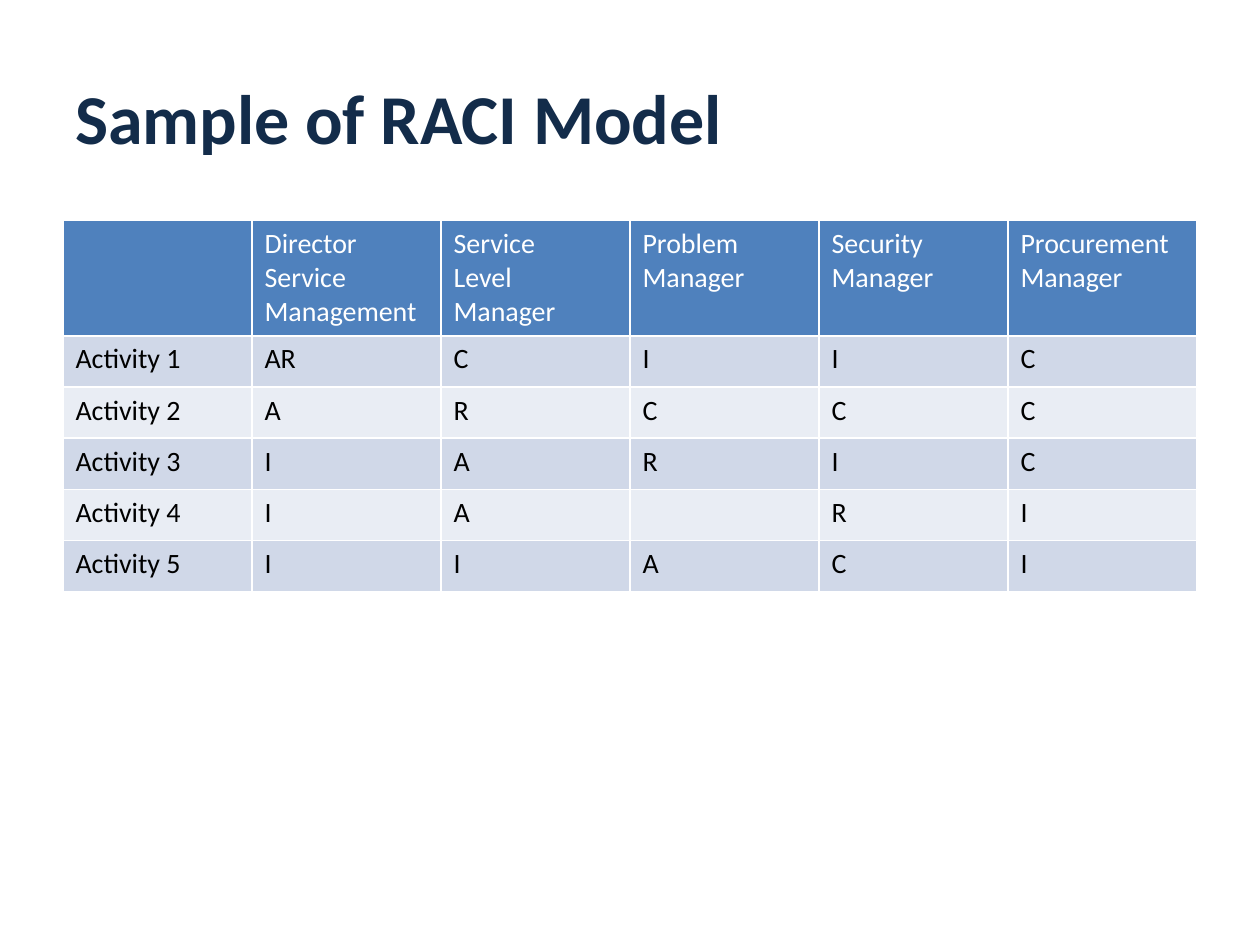
from pptx import Presentation
from pptx.dml.color import RGBColor
from pptx.enum.text import MSO_ANCHOR
from pptx.oxml import parse_xml
from pptx.oxml.ns import nsdecls
from pptx.util import Pt

FONT = "Calibri"
COLORS = {
    "title": "132C4A",
    "header": "4F81BD",
    "odd": "D0D8E8",
    "even": "E9EDF4",
    "white": "FFFFFF",
    "black": "000000",
}
ROLES = [
    "",
    "Director\nService\nManagement",
    "Service\nLevel\nManager",
    "Problem\nManager",
    "Security\nManager",
    "Procurement\nManager",
]
ACTIVITIES = [
    ["AR", "C", "I", "I", "C"],
    ["A", "R", "C", "C", "C"],
    ["I", "A", "R", "I", "C"],
    ["I", "A", "", "R", "I"],
    ["I", "I", "A", "C", "I"],
]


def rgb(name):
    return RGBColor.from_string(COLORS[name])


def add_text(tf, text, size, color, bold=False):
    for i, line in enumerate(text.split("\n")):
        p = tf.paragraphs[0] if i == 0 else tf.add_paragraph()
        p.font.size = Pt(size)
        if line:
            r = p.add_run()
            r.text = line
            r.font.name = FONT
            r.font.size = Pt(size)
            r.font.bold = bold
            r.font.color.rgb = rgb(color)


def add_title(s, text):
    sp = s.shapes.add_textbox(Pt(36), Pt(21.6), Pt(648), Pt(90))
    tf = sp.text_frame
    tf.word_wrap = True
    tf.vertical_anchor = MSO_ANCHOR.MIDDLE
    add_text(tf, text, 40, "title", bold=True)


def set_borders(cell, color, width):
    tc_pr = cell._tc.get_or_add_tcPr()
    for side in "LRTB":
        tc_pr.append(parse_xml(
            f'<a:ln{side} {nsdecls("a")} w="{Pt(width)}"><a:solidFill>'
            f'<a:srgbClr val="{COLORS[color]}"/></a:solidFill></a:ln{side}>'))


def fill_cell(cell, text, fill, color):
    set_borders(cell, "white", 1)
    cell.fill.solid()
    cell.fill.fore_color.rgb = rgb(fill)
    add_text(cell.text_frame, text, 16, color)


def add_raci_table(s, rows):
    heights = [66] + [29.2] * (len(rows) - 1)
    table = s.shapes.add_table(len(rows), len(rows[0]), Pt(36), Pt(126),
                               Pt(648), Pt(sum(heights))).table
    for i, row in enumerate(rows):
        table.rows[i].height = Pt(heights[i])
        fill = "header" if i == 0 else "odd" if i % 2 else "even"
        color = "white" if i == 0 else "black"
        for j, text in enumerate(row):
            fill_cell(table.cell(i, j), text, fill, color)


def main():
    prs = Presentation()
    prs.slide_width, prs.slide_height = Pt(720), Pt(540)
    s = prs.slides.add_slide(prs.slide_layouts[6])
    add_title(s, "Sample of RACI Model")
    activities = [[f"Activity {n}"] + codes
                  for n, codes in enumerate(ACTIVITIES, 1)]
    add_raci_table(s, [ROLES] + activities)
    prs.save("out.pptx")


if __name__ == "__main__":
    main()
